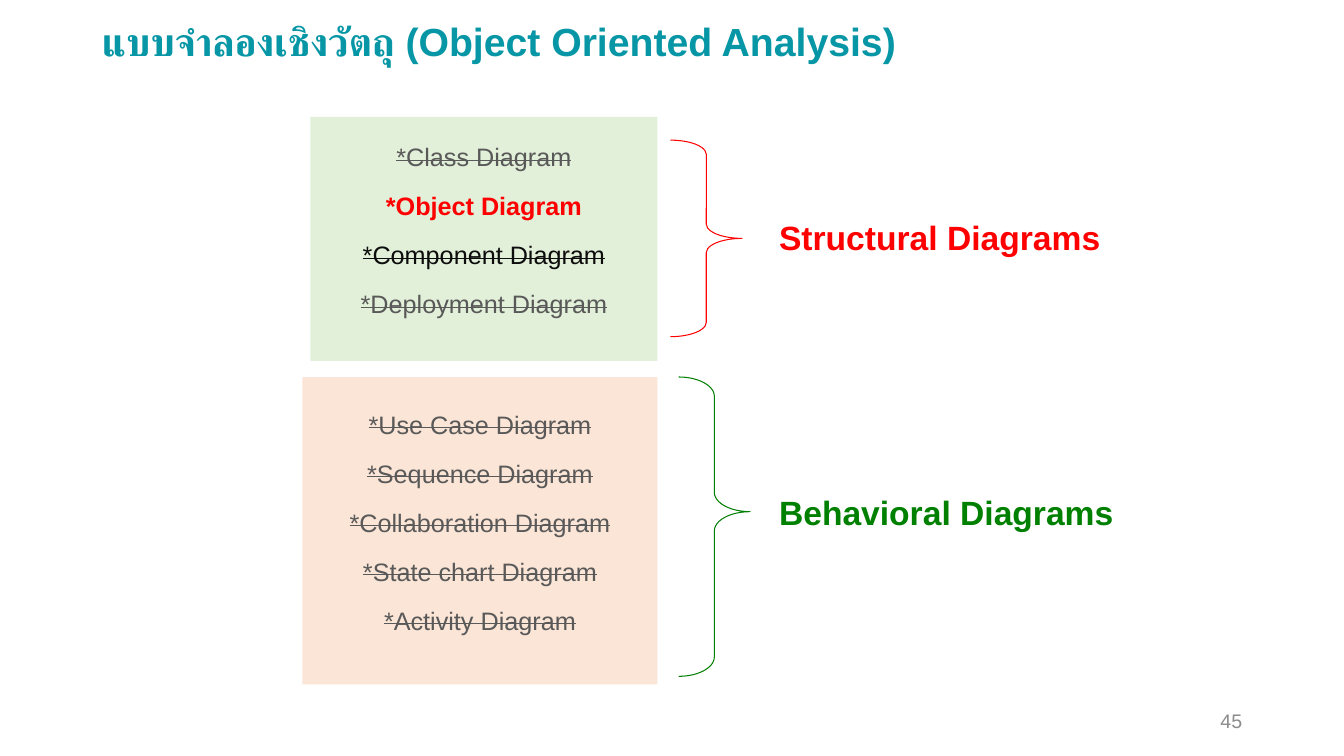
from pptx import Presentation
from pptx.dml.color import RGBColor
from pptx.enum.shapes import MSO_SHAPE
from pptx.enum.text import MSO_ANCHOR, PP_ALIGN
from pptx.util import Inches, Pt

TEAL = RGBColor(0x07, 0x96, 0xA5)
GREY = RGBColor(0x59, 0x59, 0x59)
PALE = RGBColor(0x8C, 0x8C, 0x8C)
BLACK = RGBColor(0x0D, 0x0D, 0x0D)
RED = RGBColor(0xFF, 0x00, 0x00)
GREEN = RGBColor(0x00, 0x80, 0x00)
MINT = RGBColor(0xE2, 0xF0, 0xD9)
PEACH = RGBColor(0xFB, 0xE5, 0xD6)

# Diagram names with colour and whether they are struck out
STRUCT = [
    ("*Class Diagram", GREY, True),
    ("*Object Diagram", RED, False),
    ("*Component Diagram", BLACK, True),
    ("*Deployment Diagram", GREY, True),
]
BEHAVE = [
    (f"*{name} Diagram", GREY, True)
    for name in ("Use Case", "Sequence", "Collaboration", "State chart", "Activity")
]


def add_run(para, text, size, color, bold=False, strike=False):
    run = para.add_run()
    run.text = text
    font = run.font
    font.name = "Arial"
    font.size = Pt(size)
    font.bold = bold
    font.color.rgb = color
    if strike:
        run._r.get_or_add_rPr().set("strike", "sngStrike")


def add_title(slide, text):
    title = slide.shapes.title
    title.left, title.top = Inches(0.91), Inches(0.08)
    title.width, title.height = Inches(10.06), Inches(0.71)
    frame = title.text_frame
    frame.vertical_anchor = MSO_ANCHOR.MIDDLE
    para = frame.paragraphs[0]
    para.alignment = PP_ALIGN.LEFT
    para.line_spacing = 0.9
    add_run(para, text, 28, TEAL, bold=True)


def add_label(slide, area, text, size, color, bold=True, align=PP_ALIGN.CENTER):
    box = slide.shapes.add_textbox(*map(Inches, area))
    frame = box.text_frame
    frame.word_wrap = True
    frame.vertical_anchor = MSO_ANCHOR.MIDDLE
    para = frame.paragraphs[0]
    para.alignment = align
    add_run(para, text, size, color, bold)


def add_panel(slide, area, fill, items):
    panel = slide.shapes.add_shape(MSO_SHAPE.RECTANGLE, *map(Inches, area))
    panel.shadow.inherit = False
    panel.fill.solid()
    panel.fill.fore_color.rgb = fill
    panel.line.fill.background()
    frame = panel.text_frame
    frame.word_wrap = True
    frame.vertical_anchor = MSO_ANCHOR.MIDDLE
    frame.margin_bottom = Inches(0.34)
    for i, (text, color, strike) in enumerate(items):
        para = frame.add_paragraph() if i else frame.paragraphs[0]
        para.alignment = PP_ALIGN.CENTER
        para.line_spacing = 1.4
        para.space_before = Pt(4.8 if i else 0)
        add_run(para, text, 18, color, bold=not strike, strike=strike)


def add_brace(slide, area, color, curve, tip):
    brace = slide.shapes.add_shape(MSO_SHAPE.RIGHT_BRACE, *map(Inches, area))
    brace.shadow.inherit = False
    brace.fill.background()
    brace.line.color.rgb = color
    brace.line.width = Pt(0.75)
    brace.adjustments[0] = curve
    brace.adjustments[1] = tip


def main():
    deck = Presentation()
    deck.slide_width, deck.slide_height = Inches(13.33), Inches(7.5)
    slide = deck.slides.add_slide(deck.slide_layouts[5])

    # Title and page number
    add_title(slide, "แบบจำลองเชิงวัตถุ (Object Oriented Analysis)")
    add_label(slide, (9.42, 6.95, 3, 0.4), "45", 14, PALE, False, PP_ALIGN.RIGHT)

    # Lists of diagrams
    add_panel(slide, (3, 3.74, 3.52, 3.05), PEACH, BEHAVE)
    add_panel(slide, (3.08, 1.16, 3.44, 2.42), MINT, STRUCT)

    # Braces and group names
    add_brace(slide, (6.65, 1.39, 0.71, 1.95), RED, 0.2, 0.5)
    add_brace(slide, (6.73, 3.74, 0.71, 2.97), GREEN, 0.27, 0.45)
    add_label(slide, (7.35, 2.1, 3.94, 0.5), "Structural Diagrams", 24, RED)
    add_label(slide, (7.13, 4.83, 4.51, 0.5), "Behavioral Diagrams", 24, GREEN)

    deck.save("out.pptx")


if __name__ == "__main__":
    main()
